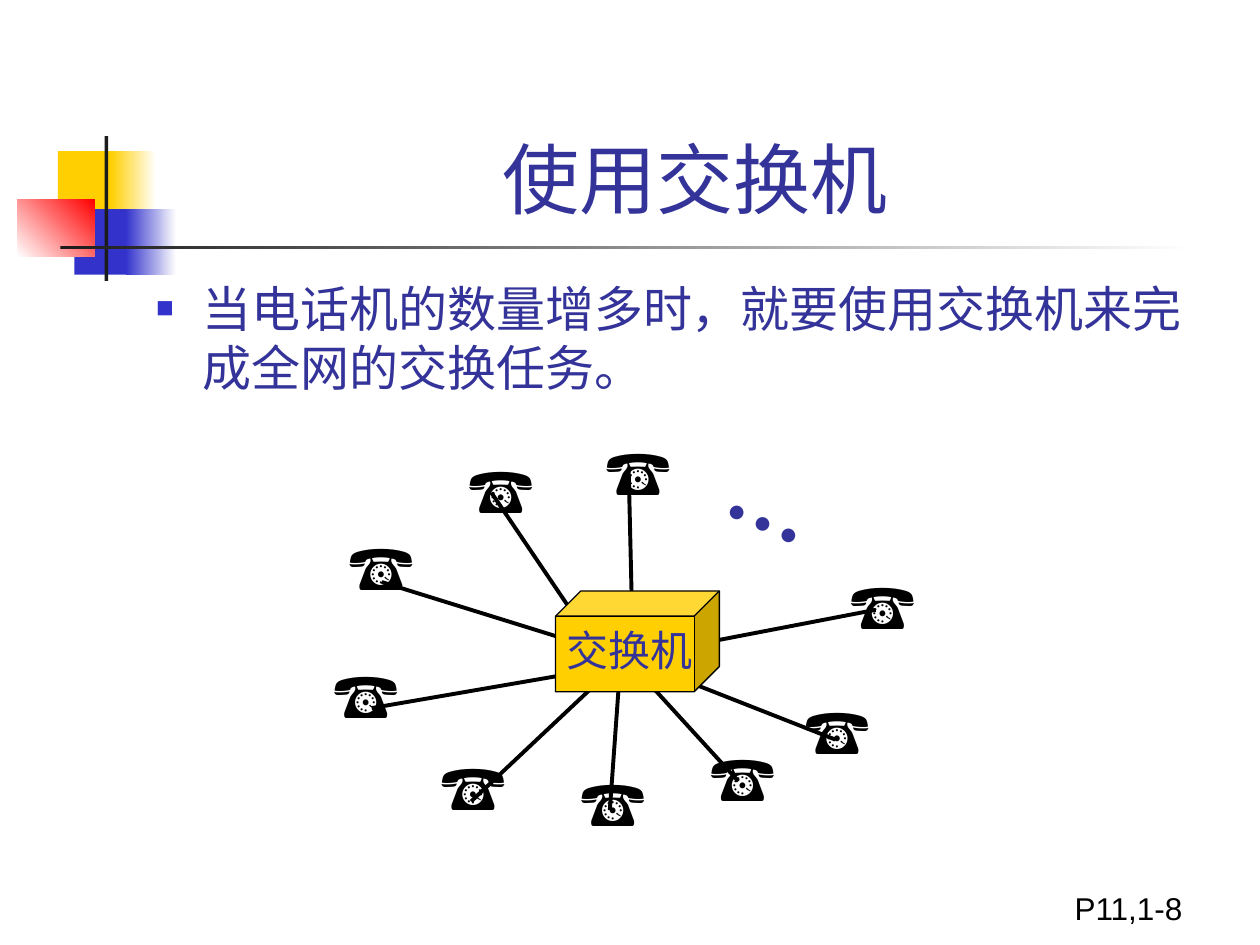
from lxml import etree
from pptx import Presentation
from pptx.dml.color import RGBColor
from pptx.enum.shapes import MSO_CONNECTOR, MSO_SHAPE
from pptx.enum.text import MSO_ANCHOR, MSO_AUTO_SIZE, PP_ALIGN
from pptx.oxml.ns import qn
from pptx.util import Inches, Pt

RECT, CUBE = MSO_SHAPE.RECTANGLE, MSO_SHAPE.CUBE
STRAIGHT = MSO_CONNECTOR.STRAIGHT
CENTER, BOTTOM = PP_ALIGN.CENTER, MSO_ANCHOR.BOTTOM
GROW = MSO_AUTO_SIZE.SHAPE_TO_FIT_TEXT

YELLOW, BLUE, RED = "FFCF01", "3333CC", "FF0000"
INK, DARK, BLACK, WHITE = "333399", "1C1C1C", "000000", "FFFFFF"

# Content
TITLE = "使用交换机"
BULLET = "当电话机的数量增多时，就要使用交换机来完成全网的交换任务。"
SWITCH = "交换机"
PAGE = "P11,1-8"

# Corner decoration: box, colours (two make a gradient), gradient angle
DECORATION = [
    ((0.46, 1.2, 0.48, 0.52), [YELLOW], 0),
    ((0.88, 1.2, 0.36, 0.52), [YELLOW, WHITE], 0),
    ((0.59, 1.66, 0.46, 0.52), [BLUE], 0),
    ((1, 1.66, 0.4, 0.52), [BLUE, WHITE], 0),
    ((0.14, 1.58, 0.61, 0.46), [WHITE, RED], 45),
    ((0.83, 1.08, 0.03, 1.15), [DARK], 0),
    ((0.48, 1.95, 9, 0.03), [DARK, WHITE], 0),
]

# Each telephone: left and top of its box, then its line's outer and inner ends
PHONES = [
    ((4.71, 3.38), (4.99, 3.74), (5.02, 5.02)),
    ((6.65, 4.45), (6.95, 4.84), (5.39, 5.14)),
    ((6.29, 5.44), (6.63, 5.87), (5.23, 5.32)),
    ((5.54, 5.81), (5.86, 6.2), (4.91, 5.16)),
    ((4.51, 6.01), (4.84, 6.43), (4.92, 5.32)),
    ((3.4, 5.88), (3.74, 6.36), (4.76, 5.4)),
    ((2.55, 5.15), (2.95, 5.62), (4.69, 5.32)),
    ((2.67, 4.14), (3.03, 4.62), (4.64, 5.12)),
    ((3.62, 3.53), (3.9, 3.91), (4.57, 4.9)),
]
PHONE_SIZE = (0.85, 0.7)


def rgb(color):
    return RGBColor.from_string(color)


def add_block(slide, kind, box, colors, angle=0):
    s = slide.shapes.add_shape(kind, *map(Inches, box))
    s.shadow.inherit = False
    s.line.fill.background()
    if len(colors) == 1:
        s.fill.solid()
        s.fill.fore_color.rgb = rgb(colors[0])
    else:
        s.fill.gradient()
        s.fill.gradient_angle = angle
        for stop, color in zip(s.fill.gradient_stops, colors):
            stop.color.rgb = rgb(color)
    return s


def add_text(slide, box, text, size, color, font="Arial", bold=False,
             wrap=False, grow=False):
    s = slide.shapes.add_textbox(*map(Inches, box))
    tf = s.text_frame
    tf.word_wrap = wrap
    if grow:
        tf.auto_size = GROW
    r = tf.paragraphs[0].add_run()
    r.text = text
    r.font.size, r.font.name, r.font.bold = Pt(size), font, bold
    r.font.color.rgb = rgb(color)
    return s


def add_line(slide, start, end):
    s = slide.shapes.add_connector(STRAIGHT, *map(Inches, start + end))
    s.line.color.rgb = rgb(BLACK)
    s.line.width = Pt(2.25)
    etree.SubElement(s._element.spPr, qn("a:effectLst"))


def add_square_bullet(p, color, percent, indent):
    pPr = p._p.get_or_add_pPr()
    pPr.set("marL", str(Inches(indent)))
    pPr.set("indent", str(-Inches(indent)))
    clr = etree.SubElement(pPr, qn("a:buClr"))
    etree.SubElement(clr, qn("a:srgbClr"), val=color)
    etree.SubElement(pPr, qn("a:buSzPct"), val=str(percent * 1000))
    etree.SubElement(pPr, qn("a:buFont"), typeface="Arial")
    etree.SubElement(pPr, qn("a:buChar"), char="■")


prs = Presentation()
prs.slide_width, prs.slide_height = Inches(10), Inches(7.5)
slide = prs.slides.add_slide(prs.slide_layouts[6])

# Decoration
for box, colors, angle in DECORATION:
    add_block(slide, RECT, box, colors, angle)

# Title and bullet
title = add_text(slide, (1.26, 0.23, 8.52, 1.6), TITLE, 44, INK, wrap=True)
title.text_frame.vertical_anchor = BOTTOM
title.text_frame.paragraphs[0].alignment = CENTER
body = add_text(slide, (1.14, 2.16, 8.5, 4.5), BULLET, 28, INK, wrap=True)
add_square_bullet(body.text_frame.paragraphs[0], BLUE, 60, 0.37)

# Telephones and their lines to the switch
for corner, outer, inner in PHONES:
    add_line(slide, outer, inner)
    add_text(slide, corner + PHONE_SIZE, "☎", 36, BLACK, grow=True)
dots = add_text(slide, (5.71, 3.51, 0.86, 0.9), "…", 48, INK,
                "Times New Roman", bold=True, grow=True)
dots.rotation = 24

# Switch, on top of the line ends
switch = add_block(slide, CUBE, (4.41, 4.69, 1.3, 0.8), [YELLOW])
switch.adjustments[0] = 0.25
switch.line.color.rgb = rgb(BLACK)
switch.line.width = Pt(0.75)
add_text(slide, (4.4, 4.91, 1.2, 0.5), SWITCH, 24, INK, "Times New Roman",
         grow=True)

# Page number
add_text(slide, (8.43, 7.01, 1.07, 0.4), PAGE, 18, BLACK)

prs.save("out.pptx")
